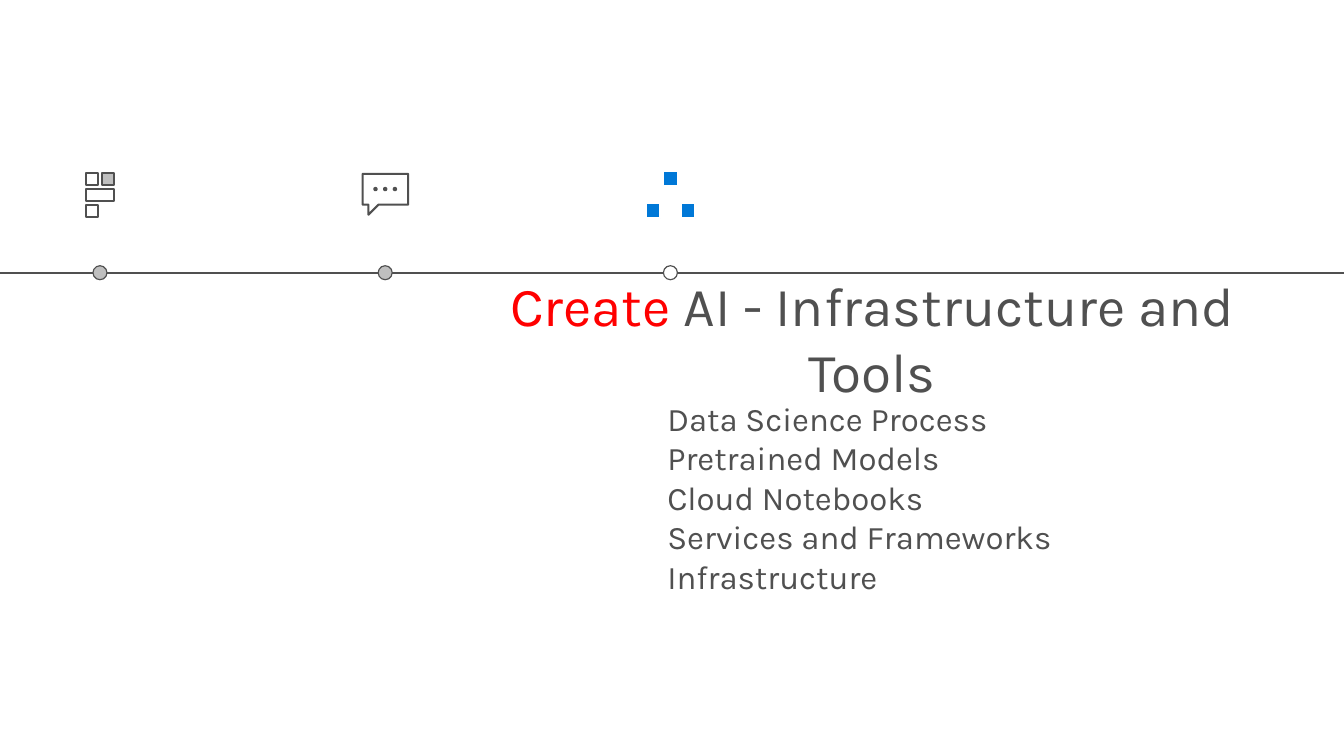
"""Build the timeline slide about creating AI: infrastructure and tools."""
from dataclasses import dataclass
from typing import Optional

from lxml import etree
from pptx import Presentation, util as u
from pptx.dml import color as c
from pptx.enum import shapes as s, text as t
from pptx.oxml import ns


@dataclass(frozen=True)
class Theme:
    font: str = "Karla"
    ink: str = "505050"
    accent: str = "FF0000"
    blue: str = "0078D7"
    grey: str = "BFBFBF"
    white: str = "FFFFFF"
    title_size: float = 40
    list_size: float = 24
    icon_line: float = 1.5
    axis_line: float = 1.25
    dot_line: float = 0.85


@dataclass(frozen=True)
class Mark:
    """A preset shape placed by its left, top, width and height in centimetres."""
    left: float
    top: float
    width: float
    height: float
    fill: Optional[str]
    line: str
    weight: float
    kind: s.MSO_SHAPE = s.MSO_SHAPE.RECTANGLE


@dataclass(frozen=True)
class Copy:
    left: float
    top: float
    width: float
    height: float
    lines: tuple[str, ...]


THEME = Theme()
PAGE_WIDTH, PAGE_HEIGHT = 34.54, 19.43
AXIS_Y, DOT = 7.01, 0.36
STOPS = tuple(2.57 + 7.33 * step for step in range(3))
TILES_X, BUBBLE_X, NODES_X = STOPS
TILE, TILE_PITCH, TILE_LEFT, TILE_TOP = 0.31, 0.42, TILES_X - 0.37, 4.44
BUBBLE = ((0.59, 4.47), (-0.58, 4.47), (-0.58, 5.26), (-0.43, 5.26),
          (-0.43, 5.52), (-0.17, 5.26), (0.59, 5.26))

LISTS = (
    Copy(17.15, 10.29, 15.67, 0.94, ("Data Science Process",)),
    Copy(17.15, 11.05, 10.49, 4.47, ("Pretrained Models", "Cloud Notebooks",
                                     "Services and Frameworks", "Infrastructure")),
)


def rgb(value: str) -> c.RGBColor:
    return c.RGBColor.from_string(value)


def style(shape, fill: Optional[str], line: str, weight: float) -> None:
    shape.shadow.inherit = False
    if fill:
        shape.fill.solid()
        shape.fill.fore_color.rgb = rgb(fill)
    else:
        shape.fill.background()
    shape.line.color.rgb = rgb(line)
    shape.line.width = u.Pt(weight)


def draw_mark(parent, mark: Mark) -> None:
    shape = parent.add_shape(mark.kind, u.Cm(mark.left), u.Cm(mark.top),
                             u.Cm(mark.width), u.Cm(mark.height))
    style(shape, mark.fill, mark.line, mark.weight)


def draw_axis(page) -> None:
    axis = page.shapes.add_connector(s.MSO_CONNECTOR.STRAIGHT, 0, u.Cm(AXIS_Y),
                                     u.Cm(PAGE_WIDTH), u.Cm(AXIS_Y))
    axis.line.color.rgb = rgb(THEME.ink)
    axis.line.width = u.Pt(THEME.axis_line)
    etree.SubElement(axis.element.spPr, ns.qn("a:effectLst"))
    for x, fill in zip(STOPS, (THEME.grey, THEME.grey, THEME.white)):
        draw_mark(page.shapes, Mark(x - DOT / 2, AXIS_Y - DOT / 2, DOT, DOT, fill,
                                    THEME.ink, THEME.dot_line, s.MSO_SHAPE.OVAL))


def draw_tiles(page) -> None:
    icon = page.shapes.add_group_shape().shapes
    wide = TILE + TILE_PITCH
    for column, row, width, fill in ((0, 0, TILE, None), (1, 0, TILE, THEME.grey),
                                     (0, 1, wide, None), (0, 2, TILE, None)):
        draw_mark(icon, Mark(TILE_LEFT + column * TILE_PITCH, TILE_TOP + row * TILE_PITCH,
                             width, TILE, fill, THEME.ink, THEME.icon_line))


def draw_bubble(page) -> None:
    icon = page.shapes.add_group_shape().shapes
    points = [(u.Cm(BUBBLE_X + x), u.Cm(y)) for x, y in BUBBLE]
    outline = icon.build_freeform(*points[0])
    outline.add_line_segments(points[1:], close=True)
    style(outline.convert_to_shape(), None, THEME.ink, THEME.icon_line)
    size = 0.06
    for offset in (-0.25, 0, 0.25):
        draw_mark(icon, Mark(BUBBLE_X + offset - size / 2, 4.83, size, size, None,
                             THEME.ink, THEME.icon_line, s.MSO_SHAPE.OVAL))


def draw_nodes(page) -> None:
    icon = page.shapes.add_group_shape().shapes
    size = 0.38
    for offset, top in ((0, 4.4), (-0.45, 5.23), (0.45, 5.23)):
        draw_mark(icon, Mark(NODES_X + offset - size / 2, top, size, size,
                             THEME.blue, THEME.white, THEME.icon_line))


def set_frame(frame) -> None:
    frame.word_wrap = True
    frame.auto_size = t.MSO_AUTO_SIZE.NONE
    frame.vertical_anchor = t.MSO_ANCHOR.MIDDLE
    frame.margin_left = frame.margin_right = 0
    frame.margin_top = frame.margin_bottom = u.Cm(0.13)


def add_span(para, words: str, size: float, color: str) -> None:
    span = para.add_run()
    span.text = words
    span.font.name = THEME.font
    span.font.size = u.Pt(size)
    span.font.color.rgb = rgb(color)


def write_title(page) -> None:
    title = page.shapes.title
    title.left, title.top = u.Cm(12.04), u.Cm(7.11)
    title.width, title.height = u.Cm(20.75), u.Cm(3.12)
    set_frame(title.text_frame)
    para = title.text_frame.paragraphs[0]
    para.alignment = t.PP_ALIGN.CENTER
    add_span(para, "Create", THEME.title_size, THEME.accent)
    add_span(para, " AI - Infrastructure and Tools", THEME.title_size, THEME.ink)


def write_list(page, copy: Copy) -> None:
    box = page.shapes.add_textbox(u.Cm(copy.left), u.Cm(copy.top),
                                  u.Cm(copy.width), u.Cm(copy.height))
    frame = box.text_frame
    set_frame(frame)
    for index, line in enumerate(copy.lines):
        para = frame.add_paragraph() if index else frame.paragraphs[0]
        add_span(para, line, THEME.list_size, THEME.ink)


def main() -> None:
    deck = Presentation()
    deck.slide_width, deck.slide_height = u.Cm(PAGE_WIDTH), u.Cm(PAGE_HEIGHT)
    page = deck.slides.add_slide(deck.slide_layouts[5])
    draw_axis(page)
    draw_tiles(page)
    draw_bubble(page)
    draw_nodes(page)
    write_title(page)
    for copy in LISTS:
        write_list(page, copy)
    deck.save("out.pptx")


if __name__ == "__main__":
    main()
